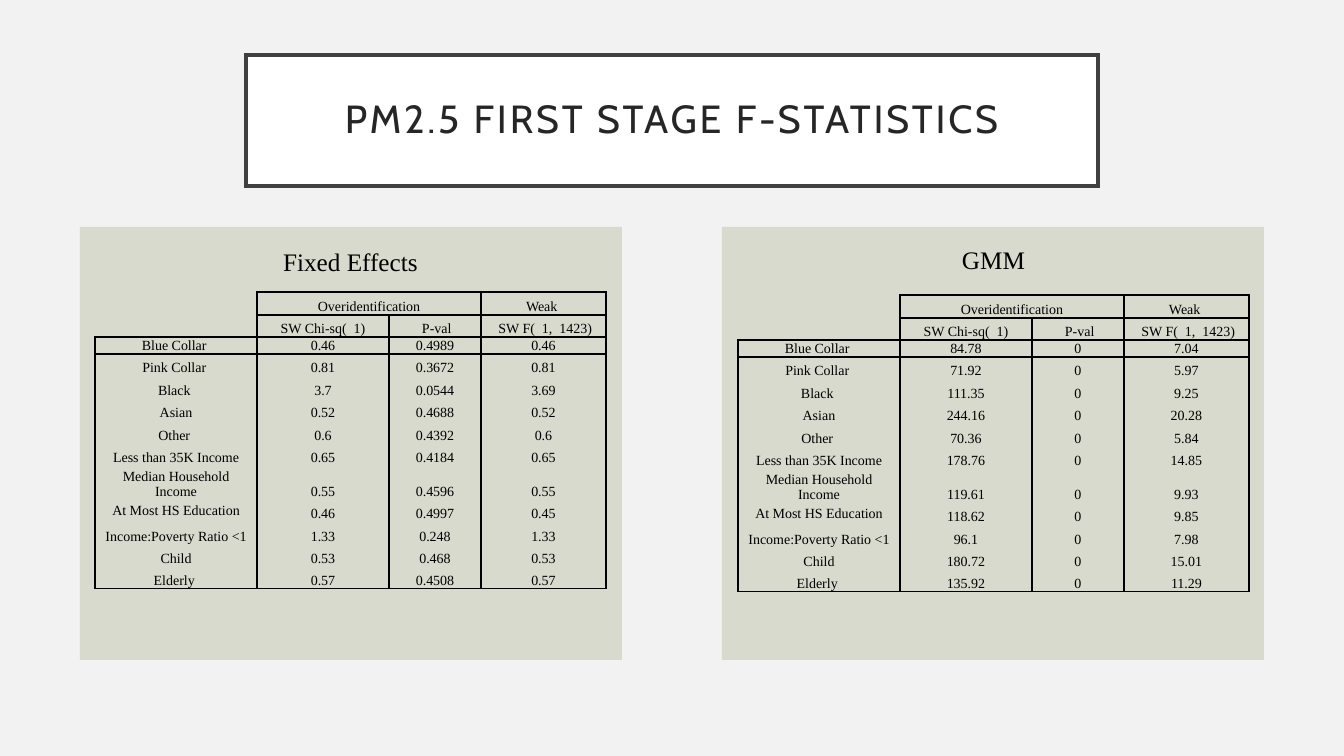
import pptx
import pptx.dml.color
import pptx.enum.shapes
import pptx.enum.text
import pptx.oxml
import pptx.oxml.ns
import pptx.util

PX = 914400 / 100.8
RGB = pptx.dml.color.RGBColor
BACKGROUND = RGB(0xF2, 0xF2, 0xF2)
WHITE = RGB(0xFF, 0xFF, 0xFF)
FRAME = RGB(0x40, 0x40, 0x40)
TITLE_INK = RGB(0x26, 0x26, 0x26)
PANEL = RGB(0xD7, 0xDA, 0xCD)
BLACK = RGB(0, 0, 0)
SERIF = "Times New Roman"
NO_STYLE = "{2D5ABB26-0587-4C30-8999-92F81FD0307C}"
NAMESPACE = pptx.oxml.ns.nsdecls("a")
CENTER = pptx.enum.text.PP_ALIGN.CENTER
ANCHOR = pptx.enum.text.MSO_ANCHOR

COLUMN_WIDTHS = [162, 132, 92, 125]
ROW_HEIGHTS = [23, 22, 17, 22, 23, 22, 23, 22, 34, 22, 23, 22, 22]
HEADER = [
    ["", "Overidentification", "", "Weak "],
    ["", "SW Chi-sq(  1)", " P-val", " SW F(  1,  1423)"],
]
HEADER_ROWS = len(HEADER)
CENTERED_LABEL = "At Most HS Education"
LABELS = [
    "Blue Collar ", "Pink Collar ", "Black ", "Asian", "Other ",
    "Less than 35K Income", "Median Household Income", CENTERED_LABEL,
    "Income:Poverty Ratio <1", "Child", "Elderly ",
]
FIXED_EFFECTS = [
    ("0.46", "0.4989", "0.46"),
    ("0.81", "0.3672", "0.81"),
    ("3.7", "0.0544", "3.69"),
    ("0.52", "0.4688", "0.52"),
    ("0.6", "0.4392", "0.6"),
    ("0.65", "0.4184", "0.65"),
    ("0.55", "0.4596", "0.55"),
    ("0.46", "0.4997", "0.45"),
    ("1.33", "0.248", "1.33"),
    ("0.53", "0.468", "0.53"),
    ("0.57", "0.4508", "0.57"),
]
GMM = [
    ("84.78", "0", "7.04"),
    ("71.92", "0", "5.97"),
    ("111.35", "0", "9.25"),
    ("244.16", "0", "20.28"),
    ("70.36", "0", "5.84"),
    ("178.76", "0", "14.85"),
    ("119.61", "0", "9.93"),
    ("118.62", "0", "9.85"),
    ("96.1", "0", "7.98"),
    ("180.72", "0", "15.01"),
    ("135.92", "0", "11.29"),
]


def px(*lengths):
    """Turn px lengths into EMU."""
    return [pptx.util.Emu(round(length * PX)) for length in lengths]


def style_text(para, size, font=SERIF, color=BLACK):
    para.alignment = CENTER
    for span in para.runs:
        span.font.size = pptx.util.Pt(size)
        span.font.name = font
        span.font.color.rgb = color


def set_title(page, text):
    title = page.shapes.title
    title.left, title.top, title.width, title.height = px(246, 55, 852, 131)
    title.fill.solid()
    title.fill.fore_color.rgb = WHITE
    title.line.color.rgb = FRAME
    title.line.width = pptx.util.Pt(2.5)
    title.line._ln.append(pptx.oxml.parse_xml(
        f'<a:miter {NAMESPACE} lim="800000"/>'))
    frame = title.text_frame
    frame.margin_left = frame.margin_right = px(20)[0]
    frame.margin_top = frame.margin_bottom = px(20)[0]
    frame.vertical_anchor = ANCHOR.MIDDLE
    frame.word_wrap = True
    frame.text = text
    para = frame.paragraphs[0]
    para.line_spacing = 0.9
    style_text(para, 28, "Cabin", TITLE_INK)
    para.runs[0].font._element.set("spc", "200")


def add_panel(page, left):
    panel = page.shapes.add_shape(
        pptx.enum.shapes.MSO_SHAPE.RECTANGLE, *px(left, 227, 542, 433))
    panel.shadow.inherit = False
    panel.fill.solid()
    panel.fill.fore_color.rgb = PANEL
    panel.line.fill.background()


def add_heading(page, left, top, text):
    box = page.shapes.add_textbox(*px(left, top, 197, 40))
    box.text_frame.word_wrap = True
    box.text_frame.text = text
    style_text(box.text_frame.paragraphs[0], 18)


def cell_sides(row, column):
    """Name the sides of a cell that carry a line, in schema order."""
    if row < HEADER_ROWS and column == 0:
        return "R" if row == 0 else "RB"
    sides = "LR"
    if row <= HEADER_ROWS:
        sides += "T"
    if row < HEADER_ROWS or row == len(ROW_HEIGHTS) - 1:
        sides += "B"
    return sides


def draw_borders(cell, sides):
    properties = cell._tc.get_or_add_tcPr()
    for position, side in enumerate(sides):
        properties.insert(position, pptx.oxml.parse_xml(
            f'<a:ln{side} {NAMESPACE} w="12700"><a:solidFill>'
            f'<a:srgbClr val="{BLACK}"/></a:solidFill></a:ln{side}>'))


def fill_cell(cell, text):
    cell.fill.background()
    cell.margin_left = cell.margin_right = px(7)[0]
    cell.margin_top = cell.margin_bottom = 0
    cell.vertical_anchor = (
        ANCHOR.MIDDLE if text == CENTERED_LABEL else ANCHOR.BOTTOM)
    if text:
        cell.text_frame.text = text
        style_text(cell.text_frame.paragraphs[0], 10)
    else:
        cell.text_frame.paragraphs[0]._p.append(pptx.oxml.parse_xml(
            f'<a:endParaRPr {NAMESPACE} sz="1000"/>'))


def add_statistics(page, left, top, values):
    rows = HEADER + [[label, *line] for label, line in zip(LABELS, values)]
    table = page.shapes.add_table(
        len(rows), len(COLUMN_WIDTHS),
        *px(left, top, sum(COLUMN_WIDTHS), sum(ROW_HEIGHTS))).table
    table.first_row = table.horz_banding = False
    style = table._tbl.tblPr.find(pptx.oxml.ns.qn("a:tableStyleId"))
    style.text = NO_STYLE
    for column, width in zip(table.columns, px(*COLUMN_WIDTHS)):
        column.width = width
    for row, height in zip(table.rows, px(*ROW_HEIGHTS)):
        row.height = height
    for row, texts in enumerate(rows):
        for column, text in enumerate(texts):
            cell = table.cell(row, column)
            fill_cell(cell, text)
            draw_borders(cell, cell_sides(row, column))
    table.cell(0, 1).merge(table.cell(0, 2))


def main():
    deck = pptx.Presentation()
    deck.slide_width, deck.slide_height = px(1344, 756)
    page = deck.slides.add_slide(deck.slide_layouts[5])
    page.background.fill.solid()
    page.background.fill.fore_color.rgb = BACKGROUND
    set_title(page, "PM2.5 FIRST STAGE F-STATISTICS")
    for panel_left, table_left, table_top, heading_top, heading, values in [
        (80, 95, 292, 241, "Fixed Effects", FIXED_EFFECTS),
        (722, 738, 295, 239, "GMM", GMM),
    ]:
        add_panel(page, panel_left)
        add_heading(page, table_left + 157, heading_top, heading)
        add_statistics(page, table_left, table_top, values)
    deck.save("out.pptx")


if __name__ == "__main__":
    main()
